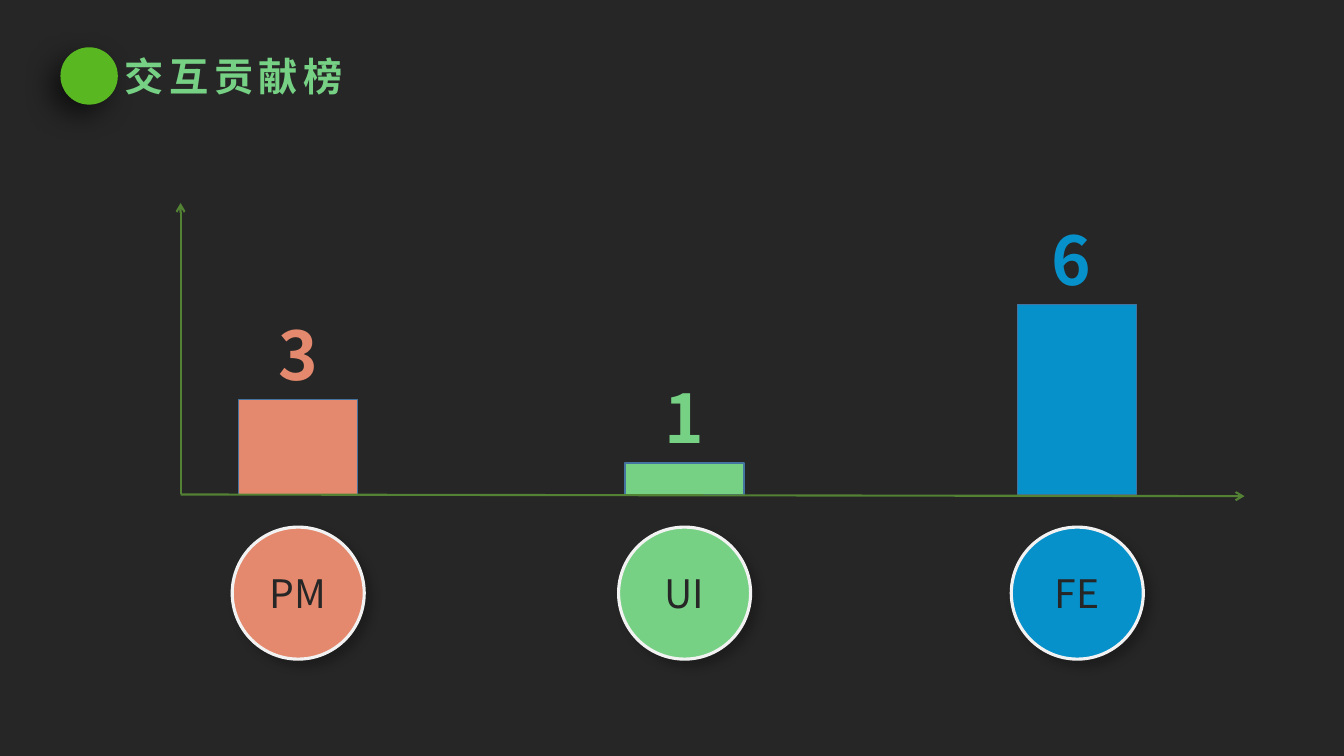
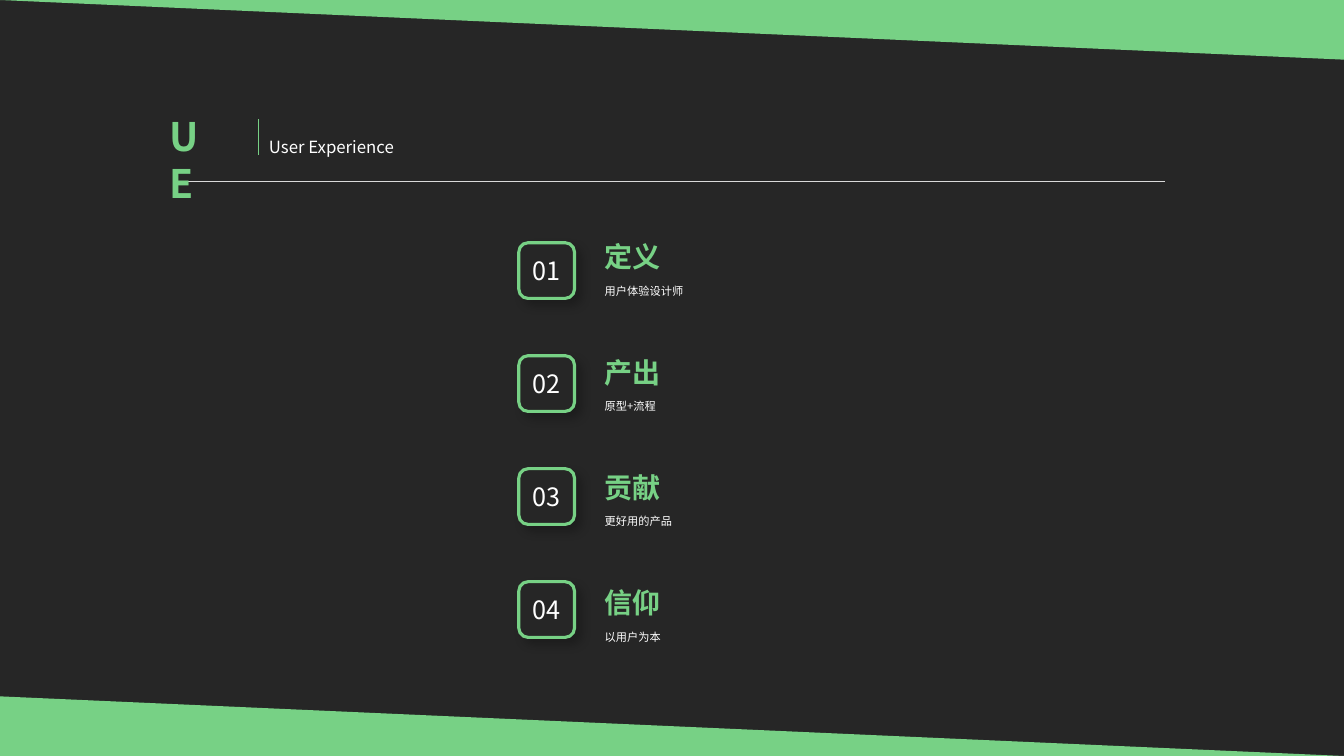
from dataclasses import dataclass
from typing import Any, Optional

from lxml.etree import SubElement
from pptx import Presentation
from pptx.dml.color import RGBColor
from pptx.enum.shapes import MSO_CONNECTOR, MSO_SHAPE
from pptx.enum.text import MSO_ANCHOR, PP_ALIGN
from pptx.oxml.ns import qn
from pptx.slide import Slide
from pptx.util import Pt


@dataclass(frozen=True)
class Theme:
    font: str = "Noto Sans CJK SC"
    dark: str = "262626"
    white: str = "FFFFFF"
    green: str = "77D185"
    dot: str = "59B721"
    blue: str = "0791CB"
    coral: str = "E4896D"
    bar_line: str = "43739E"
    axis: str = "548235"
    ring: str = "F2F2F2"
    rule: str = "D9D9D9"
    title: int = 28
    number: int = 48
    heading: int = 20
    badge: int = 18
    subtitle: int = 12
    caption: int = 8


THEME = Theme()
WIDTH, HEIGHT = 960, 540


@dataclass(frozen=True)
class Box:
    left: float
    top: float
    width: float
    height: float


@dataclass(frozen=True)
class Style:
    size: int
    color: str
    bold: bool = False
    spacing: int = 0


@dataclass(frozen=True)
class Shadow:
    opacity: int
    blur: float
    distance: float
    angle: int


@dataclass(frozen=True)
class Role:
    name: str
    value: int
    color: str
    center: float
    number_center: float


@dataclass(frozen=True)
class Topic:
    heading: str
    caption: str


DOT_SHADOW = Shadow(60, 20, 10, 135)
SOFT_SHADOW = Shadow(23, 7, 5.9, 45)

ROLES = [
    Role("PM", 3, THEME.coral, 213, 213),
    Role("UI", 1, THEME.green, 489, 489),
    Role("FE", 6, THEME.blue, 769.5, 765),
]
TOPICS = [
    Topic("定义", "用户体验设计师"),
    Topic("产出", "原型+流程"),
    Topic("贡献", "更好用的产品"),
    Topic("信仰", "以用户为本"),
]


def rgb(color: str) -> RGBColor:
    return RGBColor.from_string(color)


def write(frame: Any, text: str, style: Style) -> None:
    span = frame.paragraphs[0].add_run()
    span.text = text
    formats = {"name": THEME.font, "size": Pt(style.size), "bold": style.bold}
    for name, value in formats.items():
        setattr(span.font, name, value)
    span.font.color.rgb = rgb(style.color)
    properties = span.font._element
    SubElement(properties, qn("a:ea")).set("typeface", THEME.font)
    if style.spacing:
        properties.set("spc", str(style.spacing * 100))


def add_text(page: Slide, box: Box, text: str, style: Style, wrap: bool = False) -> None:
    shape = page.shapes.add_textbox(Pt(box.left), Pt(box.top), Pt(box.width), Pt(box.height))
    shape.text_frame.word_wrap = wrap
    write(shape.text_frame, text, style)


def add_shape(
    page: Slide,
    kind: MSO_SHAPE,
    box: Box,
    fill: str,
    line: Optional[str] = None,
    line_width: float = 1,
    shadow: Optional[Shadow] = None,
) -> Any:
    shape = page.shapes.add_shape(kind, Pt(box.left), Pt(box.top), Pt(box.width), Pt(box.height))
    shape.fill.solid()
    shape.fill.fore_color.rgb = rgb(fill)
    if line:
        shape.line.color.rgb = rgb(line)
        shape.line.width = Pt(line_width)
    else:
        shape.line.fill.background()
    shape.shadow.inherit = False
    if shadow:
        effects = shape._element.spPr.find(qn("a:effectLst"))
        outer = SubElement(effects, qn("a:outerShdw"))
        values = {
            "blurRad": Pt(shadow.blur),
            "dist": Pt(shadow.distance),
            "dir": shadow.angle * 60000,
            "algn": "ctr",
            "rotWithShape": 0,
        }
        for name, value in values.items():
            outer.set(name, str(value))
        color = SubElement(outer, qn("a:srgbClr"))
        color.set("val", "000000")
        SubElement(color, qn("a:alpha")).set("val", str(shadow.opacity * 1000))
    return shape


def add_badge(
    page: Slide, kind: MSO_SHAPE, box: Box, fill: str, line: str, text: str, style: Style
) -> None:
    shape = add_shape(page, kind, box, fill, line, 2.25, SOFT_SHADOW)
    frame = shape.text_frame
    margins = ("margin_left", "margin_right", "margin_top", "margin_bottom")
    formats = {"vertical_anchor": MSO_ANCHOR.MIDDLE, **dict.fromkeys(margins, 0)}
    for name, value in formats.items():
        setattr(frame, name, value)
    frame.paragraphs[0].alignment = PP_ALIGN.CENTER
    write(frame, text, style)


def add_line(
    page: Slide,
    start: tuple[float, float],
    end: tuple[float, float],
    color: str,
    width: float,
    arrow: bool = False,
) -> None:
    connector = page.shapes.add_connector(
        MSO_CONNECTOR.STRAIGHT, *(Pt(value) for value in (*start, *end))
    )
    connector.line.color.rgb = rgb(color)
    connector.line.width = Pt(width)
    properties = connector._element.spPr
    if arrow:
        SubElement(properties.find(qn("a:ln")), qn("a:tailEnd")).set("type", "arrow")
    SubElement(properties, qn("a:effectLst"))


def add_page(deck: Any) -> Slide:
    return deck.slides.add_slide(deck.slide_layouts[6])


def build_ranking(deck: Any) -> None:
    page = add_page(deck)
    add_shape(page, MSO_SHAPE.OVAL, Box(43.2, 33.8, 41, 41), THEME.dot, shadow=DOT_SHADOW)
    title = Style(THEME.title, THEME.green, True, 4)
    add_text(page, Box(82.1, 33.8, 199.5, 41), "交互贡献榜", title, True)

    base, unit, bar_width, number_width, number_height, circle = 353.2, 22.6, 85, 42.5, 65, 94.3
    label = Style(THEME.title, THEME.dark)
    for role in ROLES:
        height = role.value * unit
        top = base - height
        number_box = Box(
            role.number_center - number_width / 2, top - number_height, number_width, number_height
        )
        add_text(page, number_box, str(role.value), Style(THEME.number, role.color, True, 4))
        bar = Box(role.center - bar_width / 2, top, bar_width, height)
        add_shape(page, MSO_SHAPE.RECTANGLE, bar, role.color, THEME.bar_line)
        ring = Box(role.center - circle / 2, 376.5, circle, circle)
        add_badge(page, MSO_SHAPE.OVAL, ring, role.color, THEME.ring, role.name, label)

    origin = (129, 353.2)
    for tip in ((129, 145), (889, 354.4)):
        add_line(page, origin, tip, THEME.axis, 1.5, True)


def build_agenda(deck: Any) -> None:
    page = add_page(deck)
    add_line(page, (124.5, 129.6), (832.3, 129.6), THEME.rule, 0.5)
    add_text(page, Box(113.8, 77, 48, 43.2), "UE", Style(THEME.title, THEME.green, True), True)
    subtitle = Style(THEME.subtitle, THEME.white)
    add_text(page, Box(185, 94.3, 106, 22.3), "User Experience", subtitle)
    add_line(page, (184.5, 110.9), (184.5, 85), THEME.green, 0.5)

    heading = Style(THEME.heading, THEME.green, True)
    caption = Style(THEME.caption, THEME.white)
    badge = Style(THEME.badge, THEME.white)
    for index, topic in enumerate(TOPICS):
        badge_box = Box(370.6, 173.4 + index * 80.7, 39.8, 39.8)
        add_badge(
            page,
            MSO_SHAPE.ROUNDED_RECTANGLE,
            badge_box,
            THEME.dark,
            THEME.green,
            f"{index + 1:02d}",
            badge,
        )
        top = 167.8 + index * 82.3
        add_text(page, Box(424.8, top, 54.7, 33), topic.heading, heading)
        add_text(page, Box(424.8, top + 31.7, 372, 17.3), topic.caption, caption, True)

    band_height = 42.6
    for top, rotation in ((0, 180), (HEIGHT - band_height, 0)):
        band_box = Box(0, top, WIDTH, band_height)
        band = add_shape(page, MSO_SHAPE.ISOSCELES_TRIANGLE, band_box, THEME.green)
        band.adjustments[0] = 0
        band.rotation = rotation


def main() -> None:
    deck = Presentation()
    deck.slide_width, deck.slide_height = Pt(WIDTH), Pt(HEIGHT)
    background = deck.slide_master.background.fill
    background.solid()
    background.fore_color.rgb = rgb(THEME.dark)
    build_ranking(deck)
    build_agenda(deck)
    deck.save("out.pptx")


if __name__ == "__main__":
    main()
